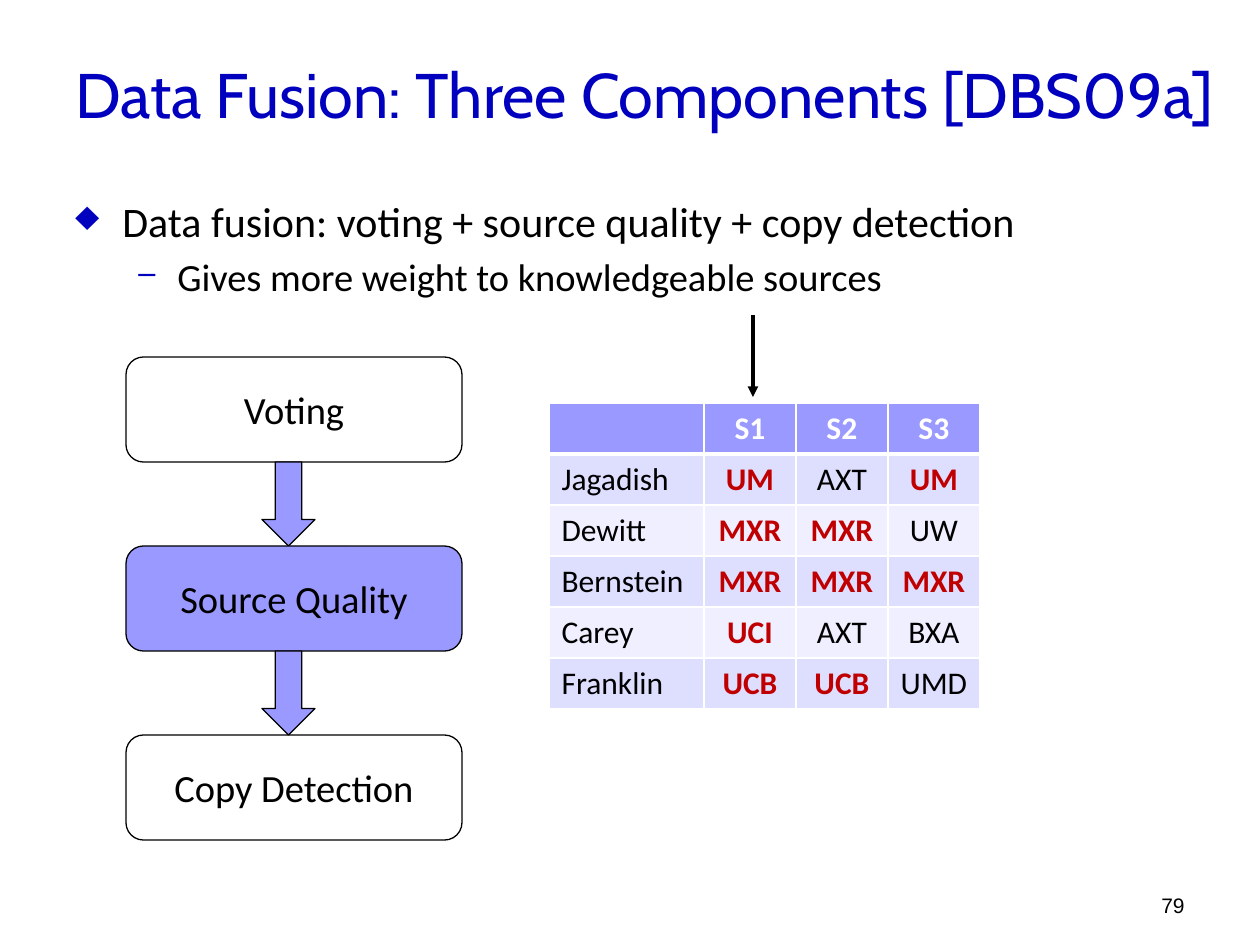
import lxml.etree
import pptx
import pptx.dml.color
import pptx.enum.shapes
import pptx.enum.text
import pptx.oxml
import pptx.oxml.ns
import pptx.util

PX = 914400 / 126
BLUE, LILAC, BLACK, WHITE, RED = "0000BE", "9999FF", "000000", "FFFFFF", "C00000"
BANDS = "DEDEFF", "EFEFFF"
SHAPE = pptx.enum.shapes.MSO_SHAPE
ALIGN = pptx.enum.text.PP_ALIGN
ANCHOR = pptx.enum.text.MSO_ANCHOR


def px(*lengths):
    return [pptx.util.Emu(round(n * PX)) for n in lengths]


def rgb(value):
    return pptx.dml.color.RGBColor.from_string(value)


def add_xml(parent, tag, **attributes):
    return lxml.etree.SubElement(parent, pptx.oxml.ns.qn(tag), attributes)


class Deck:
    def __init__(self, width, height):
        self.prs = pptx.Presentation()
        self.prs.slide_width, self.prs.slide_height = px(width, height)
        self.s = self.prs.slides.add_slide(self.prs.slide_layouts[6])

    def fill_paragraph(self, p, text, size, color=BLACK, font="Calibri",
                       align=ALIGN.LEFT, bold=False):
        p.text = text
        p.alignment = align
        p.font.size = pptx.util.Pt(size)
        p.font.name = font
        p.font.bold = bold
        p.font.color.rgb = rgb(color)

    def frame(self, box, anchor=ANCHOR.TOP):
        """Add a wrapping text box and return its text frame."""
        tf = self.s.shapes.add_textbox(*px(*box)).text_frame
        tf.word_wrap = True
        tf.vertical_anchor = anchor
        return tf

    def text(self, box, text, size, anchor, **style):
        self.fill_paragraph(self.frame(box, anchor).paragraphs[0], text, size, **style)

    def bullets(self, box, items):
        """Each item is text, font size, bullet, bullet percent, margin and hanging indent."""
        tf = self.frame(box)
        for i, (text, size, char, percent, margin, hang) in enumerate(items):
            p = tf.add_paragraph() if i else tf.paragraphs[0]
            p.level = i
            left, indent = px(margin, -hang)
            pPr = p._p.get_or_add_pPr()
            pPr.set("marL", str(left))
            pPr.set("indent", str(indent))
            add_xml(add_xml(pPr, "a:buClr"), "a:srgbClr", val=BLUE)
            add_xml(pPr, "a:buSzPct", val=str(percent * 1000))
            add_xml(pPr, "a:buChar", char=char)
            if i:
                p.space_before = pptx.util.Pt(size * 0.2)
            self.fill_paragraph(p, text, size)

    def shape(self, kind, box, fill=None, label=""):
        sp = self.s.shapes.add_shape(kind, *px(*box))
        sp.shadow.inherit = False
        if fill:
            sp.fill.solid()
            sp.fill.fore_color.rgb = rgb(fill)
        else:
            sp.fill.background()
        sp.line.color.rgb = rgb(BLACK)
        sp.line.width = pptx.util.Pt(0.75)
        if label:
            sp.text_frame.vertical_anchor = ANCHOR.MIDDLE
            self.fill_paragraph(sp.text_frame.paragraphs[0], label, 22, align=ALIGN.CENTER)

    def arrow(self, x1, y1, x2, y2):
        connector = self.s.shapes.add_connector(
            pptx.enum.shapes.MSO_CONNECTOR.STRAIGHT, *px(x1, y1, x2, y2))
        connector.line.color.rgb = rgb(BLACK)
        connector.line.width = pptx.util.Pt(2)
        add_xml(connector.get_or_add_ln(), "a:tailEnd", type="triangle")
        add_xml(connector._element.spPr, "a:effectLst")

    def borders(self, cell, top, bottom):
        tcPr = cell._tc.get_or_add_tcPr()
        for side, width in zip("LRTB", (1, 1, top, bottom)):
            ln = add_xml(tcPr, f"a:ln{side}", w=str(pptx.util.Pt(width)))
            add_xml(add_xml(ln, "a:solidFill"), "a:srgbClr", val=WHITE)

    def table(self, left, top, widths, row_height, rows):
        """Draw rows under a header; a leading * marks a highlighted value."""
        box = px(left, top, sum(widths), row_height * len(rows))
        table = self.s.shapes.add_table(len(rows), len(widths), *box).table
        for column, width in zip(table.columns, px(*widths)):
            column.width = width
        for r, row in enumerate(rows):
            table.rows[r].height = px(row_height)[0]
            for c, value in enumerate(row):
                cell = table.cell(r, c)
                self.borders(cell, 3 if r == 1 else 1, 3 if r == 0 else 1)
                cell.fill.solid()
                cell.fill.fore_color.rgb = rgb(BANDS[(r - 1) % 2] if r else LILAC)
                marked = value.startswith("*")
                color = WHITE if r == 0 else RED if marked else BLACK
                self.fill_paragraph(
                    cell.text_frame.paragraphs[0], value.lstrip("*"), 18, color,
                    align=ALIGN.CENTER if c else ALIGN.LEFT, bold=marked or r == 0)


def main():
    deck = Deck(1260, 945)
    deck.text((63, 39, 1197, 108), "Data Fusion: Three Components [DBS09a]", 36,
              ANCHOR.MIDDLE, color=BLUE, font="Cabin")
    deck.bullets((63, 189, 1197, 620), [
        ("Data fusion: voting + source quality + copy detection", 24, "♦", 100, 47, 47),
        ("Gives more weight to knowledgeable sources", 22, "–", 80, 102, 39),
    ])
    deck.text((903, 861, 294, 63), "79", 12, ANCHOR.BOTTOM, font="Arial", align=ALIGN.RIGHT)

    step_top, step_height, pitch = 357, 105, 189
    steps = [("Voting", None), ("Source Quality", LILAC), ("Copy Detection", None)]
    for i, (label, fill) in enumerate(steps):
        y = step_top + i * pitch
        deck.shape(SHAPE.ROUNDED_RECTANGLE, (126, y, 336, step_height), fill, label)
        if i < len(steps) - 1:
            deck.shape(SHAPE.DOWN_ARROW,
                       (262, y + step_height, 53, pitch - step_height), LILAC)

    deck.table(549, 403, (155, 92, 92, 92), 51, [
        ("", "S1", "S2", "S3"),
        ("Jagadish", "*UM", "AXT", "*UM"),
        ("Dewitt", "*MXR", "*MXR", "UW"),
        ("Bernstein", "*MXR", "*MXR", "*MXR"),
        ("Carey", "*UCI", "AXT", "BXA"),
        ("Franklin", "*UCB", "*UCB", "UMD"),
    ])
    deck.arrow(753, 315, 753, 397)
    deck.prs.save("out.pptx")


if __name__ == "__main__":
    main()
